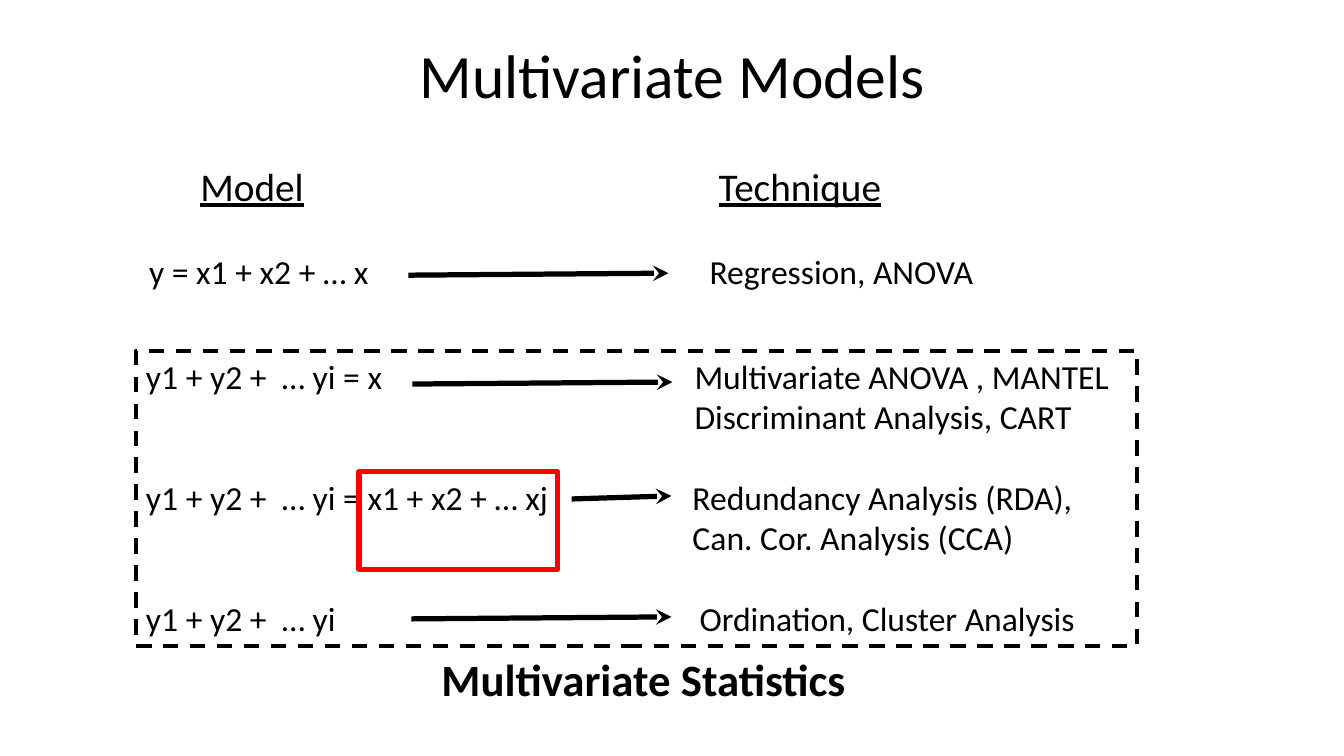
from pptx import Presentation
from pptx.dml.color import RGBColor
from pptx.enum.dml import MSO_LINE
from pptx.enum.shapes import MSO_CONNECTOR as CONNECTOR, MSO_SHAPE as SHAPE
from pptx.enum.text import MSO_ANCHOR as ANCHOR, PP_ALIGN as ALIGN
from pptx.oxml.ns import qn
from pptx.util import Inches, Pt
from lxml.etree import SubElement

BLACK, RED = "000000", "FF0000"
ROW_TOP, ROW_PITCH = 3.48, 1.2


def paint(value):
    """Turn a hex string into a colour."""
    return RGBColor.from_string(value)


def add_text(page, lines, place, size=24, align=ALIGN.LEFT, spacing=1.0, **font):
    """Add a text box with one paragraph for each line."""
    box = page.shapes.add_textbox(*map(Inches, place))
    frame = box.text_frame
    frame.word_wrap = True
    frame.vertical_anchor = ANCHOR.TOP
    for index, line in enumerate(lines):
        para = frame.add_paragraph() if index else frame.paragraphs[0]
        para.alignment, para.line_spacing = align, spacing
        span = para.add_run()
        span.text = line
        span.font.color.rgb = paint(BLACK)
        for name, value in {"name": "Calibri", "size": Pt(size), **font}.items():
            setattr(span.font, name, value)


def style_line(line, color, width, dash=None):
    """Set the colour, width and dash of a line."""
    line.color.rgb = paint(color)
    for name, value in {"width": Pt(width), "dash_style": dash}.items():
        setattr(line, name, value)


def add_frame(page, place, color, width, dash=None):
    """Add an unfilled rectangle."""
    box = page.shapes.add_shape(SHAPE.RECTANGLE, *map(Inches, place))
    box.shadow.inherit = False
    box.fill.background()
    style_line(box.line, color, width, dash)


def add_arrow(page, start, end):
    """Add a black arrow with a stealth head."""
    arrow = page.shapes.add_connector(CONNECTOR.STRAIGHT, *map(Inches, start + end))
    style_line(arrow.line, BLACK, 3.75)
    SubElement(arrow.line._get_or_add_ln(), qn("a:tailEnd"), type="stealth")
    SubElement(arrow._element.spPr, qn("a:effectLst"))


def add_row(page, top, model, model_left, techniques, technique_left, arrow):
    """Add a model, its techniques and the arrow between them."""
    add_text(page, [model], (model_left, top, 4.6, 0.5))
    add_text(page, techniques, (technique_left, top, 4.5, 0.5 * len(techniques)))
    add_arrow(page, *arrow)


def main():
    """Build the slide and save it."""
    deck = Presentation()
    deck.slide_width, deck.slide_height = Inches(13.33), Inches(7.5)
    page = deck.slides.add_slide(deck.slide_layouts[6])

    add_text(page, ["Multivariate Models"], (0.92, 0.4, 11.5, 1.1), 44, ALIGN.CENTER, 0.9)
    for heading, left in (("Model", 1.89), ("Technique", 7.03)):
        add_text(page, [heading], (left, 1.56, 2.6, 0.57), 28, underline=True)

    add_row(page, 2.44, "y = x1 + x2 + … x", 1.38, ["Regression, ANOVA"], 6.94,
            ((4.05, 2.73), (6.63, 2.71)))

    add_frame(page, (1.35, ROW_TOP, 9.93, 2.93), BLACK, 2.75, MSO_LINE.DASH)
    multivariate_rows = [
        ("y1 + y2 +  … yi = x",
         ["Multivariate ANOVA , MANTEL", "Discriminant Analysis, CART"], 6.79,
         ((4.09, 3.81), (6.67, 3.79))),
        ("y1 + y2 +  … yi = x1 + x2 + … xj",
         ["Redundancy Analysis (RDA),", "Can. Cor. Analysis (CCA)"], 6.77,
         ((5.67, 4.95), (6.66, 4.92))),
        ("y1 + y2 +  … yi", ["Ordination, Cluster Analysis"], 6.84,
         ((4.08, 6.14), (6.66, 6.12))),
    ]
    for index, (model, techniques, left, arrow) in enumerate(multivariate_rows):
        add_row(page, ROW_TOP + index * ROW_PITCH, model, 1.35, techniques, left, arrow)

    add_text(page, ["Multivariate Statistics"], (4.28, 6.42, 4.26, 0.64), 32, bold=True)
    add_frame(page, (3.56, 4.68, 1.97, 0.97), RED, 3.75)

    deck.save("out.pptx")


if __name__ == "__main__":
    main()
